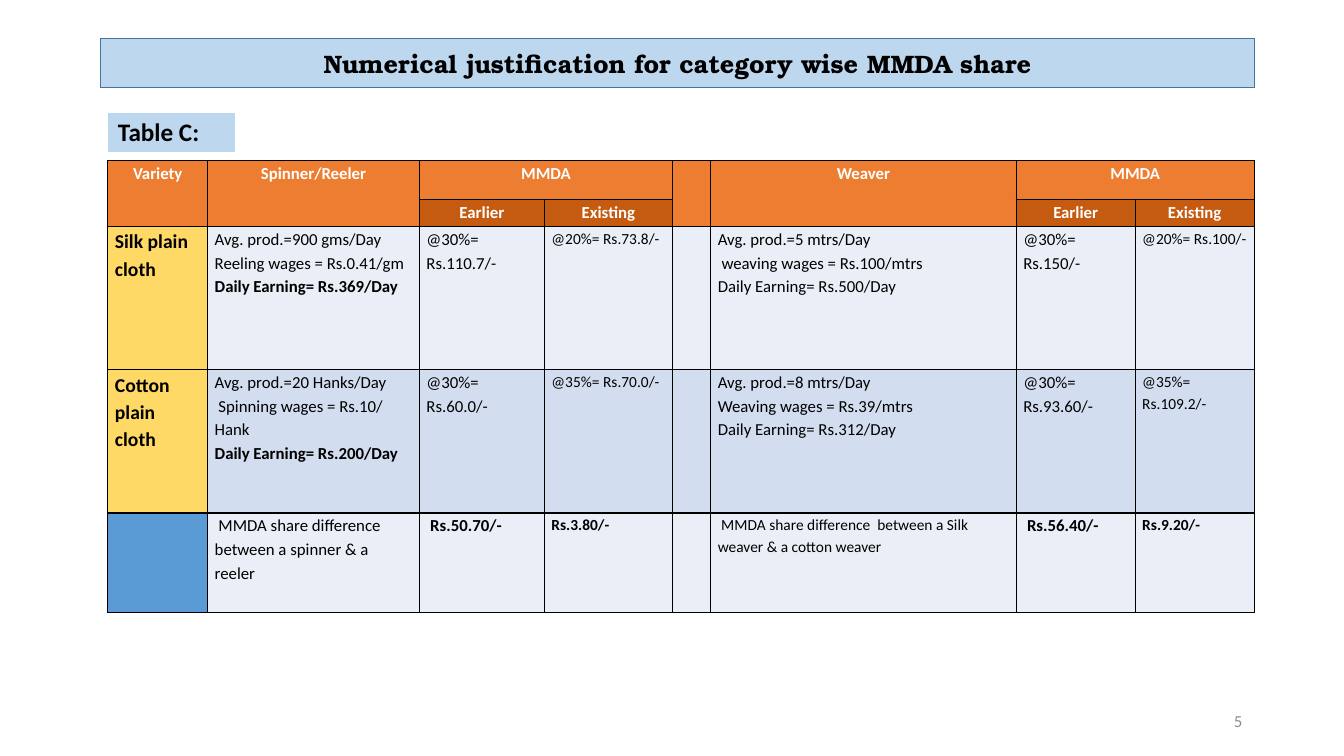
from lxml import etree
from pptx import Presentation
from pptx.dml.color import RGBColor
from pptx.enum.shapes import MSO_SHAPE
from pptx.enum.text import MSO_ANCHOR, PP_ALIGN
from pptx.oxml.ns import qn
from pptx.util import Inches, Pt

RECTANGLE = MSO_SHAPE.RECTANGLE
MIDDLE = MSO_ANCHOR.MIDDLE
LEFT, CENTER, RIGHT = PP_ALIGN.LEFT, PP_ALIGN.CENTER, PP_ALIGN.RIGHT

BODY_FONT = "Calibri"
TITLE_FONT = "TeX Gyre Bonum"
COLORS = {
    "black": "000000", "white": "FFFFFF", "number": "8C8C8C",
    "banner": "BDD7EE", "banner_line": "43739E",
    "header": "ED7D31", "subheader": "C55A11",
    "variety": "FFD966", "corner": "5B9BD5",
    "light": "EAEFF7", "band": "D2DEEF",
}

COLUMNS = [0.99, 2.1, 1.24, 1.27, 0.38, 3.03, 1.18, 1.18]
ROWS = [0.39, 0.27, 1.42, 1.42, 0.99]
HEADINGS = ["Variety", "Spinner/Reeler", "MMDA", "", "", "Weaver", "MMDA", ""]
SUBHEADINGS = {2: "Earlier", 3: "Existing", 6: "Earlier", 7: "Existing"}
TALL_HEADINGS = [0, 1, 4, 5]
WIDE_HEADINGS = [2, 6]
SIZES = [14, 12, 12, 11, 12, 12, 12, 11]
BODY = [
    [["Silk plain cloth"],
     ["Avg. prod.=900 gms/Day", "Reeling wages = Rs.0.41/gm", "Daily Earning= Rs.369/Day"],
     ["@30%= Rs.110.7/-"], ["@20%= Rs.73.8/-"], [""],
     ["Avg. prod.=5 mtrs/Day", " weaving wages = Rs.100/mtrs", "Daily Earning= Rs.500/Day"],
     ["@30%= Rs.150/-"], ["@20%= Rs.100/-"]],
    [["Cotton plain cloth"],
     ["Avg. prod.=20 Hanks/Day", " Spinning wages = Rs.10/ Hank", "Daily Earning= Rs.200/Day"],
     ["@30%= Rs.60.0/-"], ["@35%= Rs.70.0/-"], [""],
     ["Avg. prod.=8 mtrs/Day", "Weaving wages = Rs.39/mtrs", "Daily Earning= Rs.312/Day"],
     ["@30%= Rs.93.60/-"], ["@35%= Rs.109.2/-"]],
    [[""], [" MMDA share difference  between a spinner & a reeler"],
     [" Rs.50.70/-"], ["Rs.3.80/-"], [""],
     [" MMDA share difference  between a Silk weaver & a cotton weaver"],
     [" Rs.56.40/-"], ["Rs.9.20/-"]],
]


def color(name):
    return RGBColor.from_string(COLORS[name])


def write(paragraph, text, size, ink="black", bold=False, align=LEFT, font=BODY_FONT):
    paragraph.text = text
    paragraph.alignment = align
    paragraph.font.name = font
    paragraph.font.size = Pt(size)
    paragraph.font.bold = bold
    paragraph.font.color.rgb = color(ink)


def paint(cell, fill, border, widths=(1, 1, 1, 1)):
    cell.fill.solid()
    cell.fill.fore_color.rgb = color(fill)
    properties = cell._tc.get_or_add_tcPr()
    for position, (side, width) in enumerate(zip(("lnL", "lnR", "lnT", "lnB"), widths)):
        line = etree.Element(qn("a:" + side), w=str(Pt(width)))
        solid = etree.SubElement(line, qn("a:solidFill"))
        etree.SubElement(solid, qn("a:srgbClr"), val=COLORS[border])
        properties.insert(position, line)


def fill_cell(cell, lines, fill, size, ink="black", bold_lines=(), align=LEFT):
    paint(cell, fill, "black")
    cell.margin_left = cell.margin_right = Inches(0.07)
    cell.margin_top = cell.margin_bottom = 0
    for index, text in enumerate(lines):
        paragraph = cell.text_frame.paragraphs[0] if index == 0 else cell.text_frame.add_paragraph()
        write(paragraph, text, size, ink, index in bold_lines, align)
        paragraph.line_spacing = 1.15


def add_grid(slide, left, top, columns, rows):
    table = slide.shapes.add_table(
        len(rows), len(columns), Inches(left), Inches(top),
        Inches(sum(columns)), Inches(sum(rows))).table
    table.horz_banding = False
    for column, width in zip(table.columns, columns):
        column.width = Inches(width)
    for row, height in zip(table.rows, rows):
        row.height = Inches(height)
    return table


def add_banner(slide, left, top, width, height):
    banner = slide.shapes.add_shape(
        RECTANGLE, Inches(left), Inches(top), Inches(width), Inches(height))
    banner.shadow.inherit = False
    banner.fill.solid()
    banner.fill.fore_color.rgb = color("banner")
    banner.line.color.rgb = color("banner_line")
    banner.line.width = Pt(1)
    banner.text_frame.word_wrap = True
    banner.text_frame.vertical_anchor = MIDDLE
    write(banner.text_frame.paragraphs[0], "Numerical justification for category wise MMDA share",
          18, bold=True, align=CENTER, font=TITLE_FONT)


def add_table_label(slide, left, top, width, height):
    cell = add_grid(slide, left, top, [width], [height]).cell(0, 0)
    paint(cell, "banner", "white", (1, 1, 1, 3))
    write(cell.text_frame.paragraphs[0], "Table C:", 18, bold=True)


def add_headings(table):
    for column, heading in enumerate(HEADINGS):
        subheading = SUBHEADINGS.get(column, "")
        lower_fill = "subheader" if subheading else "header"
        for row, text, fill in ((0, heading, "header"), (1, subheading, lower_fill)):
            fill_cell(table.cell(row, column), [text], fill, 12, "white", [0], CENTER)
    for column in TALL_HEADINGS:
        table.cell(0, column).merge(table.cell(1, column))
    for column in WIDE_HEADINGS:
        table.cell(0, column).merge(table.cell(0, column + 1))


def add_share_table(slide, left, top):
    table = add_grid(slide, left, top, COLUMNS, ROWS)
    add_headings(table)
    for index, cells in enumerate(BODY):
        is_difference = index == len(BODY) - 1
        for column, lines in enumerate(cells):
            fill = "band" if index % 2 else "light"
            size = SIZES[column]
            bold_lines = [2] if column == 1 else []
            if column == 0:
                fill = "corner" if is_difference else "variety"
                bold_lines = [0]
            elif is_difference and column in SUBHEADINGS:
                bold_lines = [0]
            elif is_difference and column == 5:
                size = 11
            fill_cell(table.cell(index + 2, column), lines, fill, size, bold_lines=bold_lines)


def add_page_number(slide, left, top, width, height):
    box = slide.shapes.add_textbox(Inches(left), Inches(top), Inches(width), Inches(height))
    box.text_frame.word_wrap = True
    box.text_frame.vertical_anchor = MIDDLE
    write(box.text_frame.paragraphs[0], "5", 12, "number", align=RIGHT)


def main():
    presentation = Presentation()
    presentation.slide_width = Inches(13.33)
    presentation.slide_height = Inches(7.5)
    slide = presentation.slides.add_slide(presentation.slide_layouts[6])
    add_page_number(slide, 9.42, 6.95, 3, 0.4)
    add_share_table(slide, 1.07, 1.59)
    add_banner(slide, 1, 0.38, 11.44, 0.49)
    add_table_label(slide, 1.07, 1.12, 1.27, 0.41)
    presentation.save("out.pptx")


if __name__ == "__main__":
    main()
